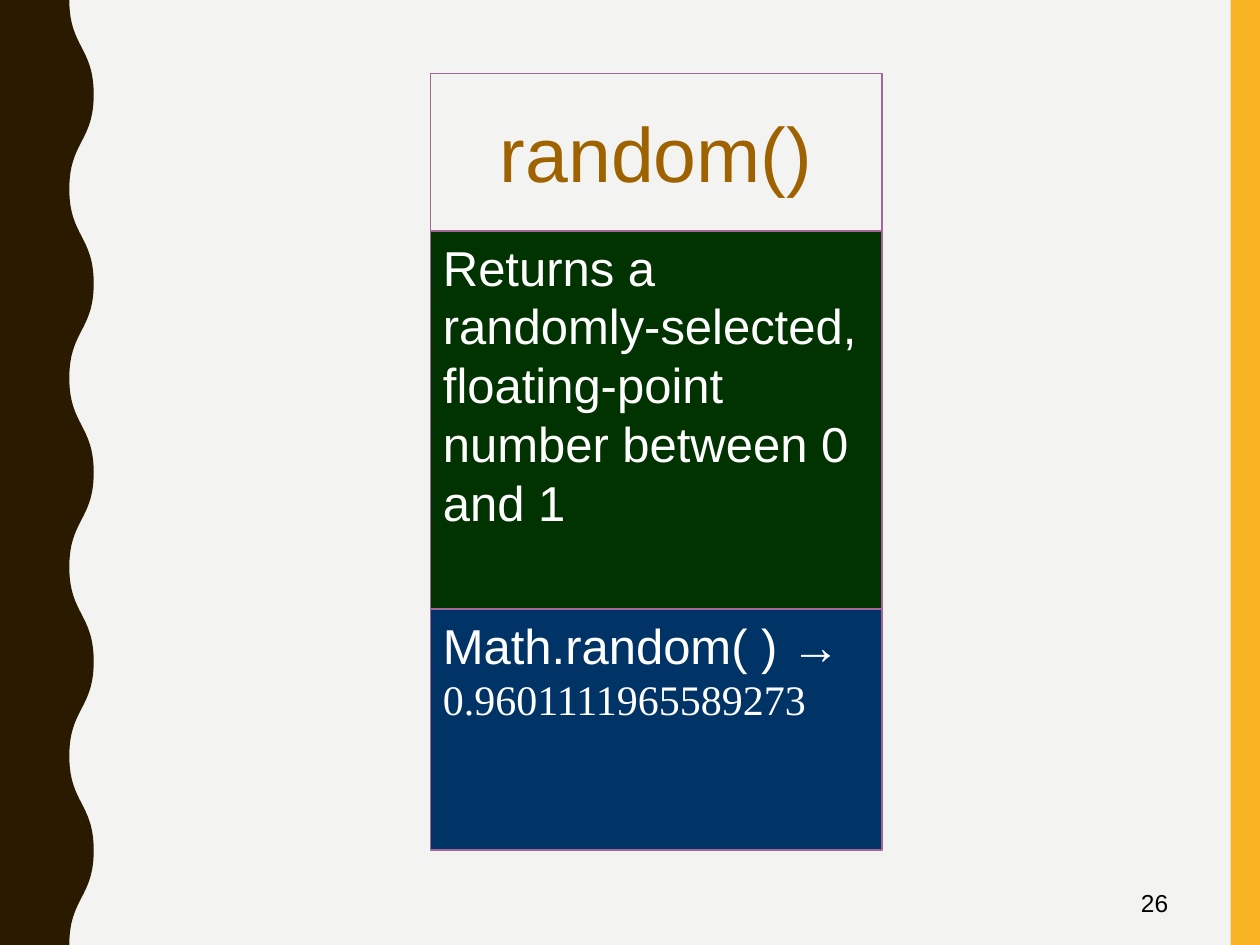
from lxml import etree
from pptx import Presentation
from pptx.dml.color import RGBColor
from pptx.enum.shapes import MSO_SHAPE as SHAPE
from pptx.enum.text import MSO_ANCHOR as ANCHOR, PP_ALIGN as ALIGN
from pptx.oxml.ns import qn
from pptx.util import Cm, Pt

PAPER = RGBColor(0xF3, 0xF3, 0xF2)
GOLD = RGBColor(0xF8, 0xB3, 0x23)
BROWN = RGBColor(0x2A, 0x1A, 0x00)
OCHRE = RGBColor(0x9F, 0x62, 0x00)
GREEN = RGBColor(0x00, 0x33, 0x00)
NAVY = RGBColor(0x00, 0x33, 0x66)
PURPLE = RGBColor(0xA4, 0x66, 0x94)
WHITE = RGBColor(0xFF, 0xFF, 0xFF)
BLACK = RGBColor(0x00, 0x00, 0x00)

WIDTH, HEIGHT = 25.4, 19.05
WAVES = 5


def paint(sp, fill=None, line=None, weight=1):
    sp.shadow.inherit = False
    if fill is None:
        sp.fill.background()
    else:
        sp.fill.solid()
        sp.fill.fore_color.rgb = fill
    if line is None:
        sp.line.fill.background()
    else:
        sp.line.color.rgb = line
        sp.line.width = Pt(weight)


def write(sp, runs, color, align=ALIGN.LEFT, anchor=ANCHOR.TOP):
    tf = sp.text_frame
    tf.word_wrap = True
    tf.vertical_anchor = anchor
    p = tf.paragraphs[0]
    p.alignment = align
    for text, size, font in runs:
        r = p.add_run()
        r.text = text
        r.font.size = Pt(size)
        r.font.name = font
        r.font.color.rgb = color


def bend(segment, start_x, start_y):
    end = segment[0]
    end_x, end_y = int(end.get("x")), int(end.get("y"))
    middle = (start_y + end_y) // 2
    curve = etree.Element(qn("a:cubicBezTo"))
    for x, y in [(start_x, middle), (end_x, middle), (end_x, end_y)]:
        etree.SubElement(curve, qn("a:pt"), x=str(x), y=str(y))
    segment.getparent().replace(segment, curve)
    return end_x, end_y


def add_wavy_edge(s, left, top, width, height):
    trough = width * 0.74
    half = height / WAVES / 2
    edge = [(left + (width if i % 2 else trough), top + half * i)
            for i in range(2 * WAVES + 1)]
    points = [(Cm(x), Cm(y)) for x, y in [(left, top), *edge, (left, top + height)]]
    builder = s.shapes.build_freeform(*points[0])
    builder.add_line_segments(points[1:], close=True)
    sp = builder.convert_to_shape()
    paint(sp, BROWN)
    segments = list(sp.element.iter(qn("a:lnTo")))
    x, y = int(segments[0][0].get("x")), int(segments[0][0].get("y"))
    for segment in segments[1:2 * WAVES + 1]:
        x, y = bend(segment, x, y)


def add_gold_band(s, left, top, width, height):
    sp = s.shapes.add_shape(SHAPE.RECTANGLE, Cm(left), Cm(top), Cm(width), Cm(height))
    paint(sp, GOLD)


def add_method_card(s, left, top, width, height):
    title_h, text_h = height * 0.2027, height * 0.4865
    example_h = height - title_h - text_h
    rows = [
        (title_h, text_h, GREEN, 1,
         [("Returns a randomly-selected, floating-point number between 0 and 1", 28, "Arial")],
         dict(color=WHITE)),
        (0, title_h, None, 0.75, [("random()", 44, "Arial")],
         dict(color=OCHRE, align=ALIGN.CENTER, anchor=ANCHOR.MIDDLE)),
        (title_h + text_h, example_h, NAVY, 1,
         [("Math.random( ) → ", 28, "Arial"),
          ("0.9601111965589273", 24, "Times New Roman")],
         dict(color=WHITE)),
    ]
    for offset, row_h, fill, weight, runs, style in rows:
        sp = s.shapes.add_shape(SHAPE.RECTANGLE, Cm(left), Cm(top + offset),
                                Cm(width), Cm(row_h))
        paint(sp, fill, PURPLE, weight)
        write(sp, runs, **style)


def add_page_number(s, left, top, width, height):
    sp = s.shapes.add_textbox(Cm(left), Cm(top), Cm(width), Cm(height))
    write(sp, [("26", 14, "Arial")], BLACK, ALIGN.RIGHT, ANCHOR.MIDDLE)


def main():
    prs = Presentation()
    prs.slide_width, prs.slide_height = Cm(WIDTH), Cm(HEIGHT)
    s = prs.slides.add_slide(prs.slide_layouts[6])
    s.background.fill.solid()
    s.background.fill.fore_color.rgb = PAPER
    add_gold_band(s, WIDTH - 0.59, 0, 0.59, HEIGHT)
    add_wavy_edge(s, 0, 0, 1.89, HEIGHT)
    add_page_number(s, 17.93, 17.71, 5.87, 0.97)
    add_method_card(s, 8.68, 1.48, 9.1, 15.66)
    prs.save("out.pptx")


if __name__ == "__main__":
    main()
